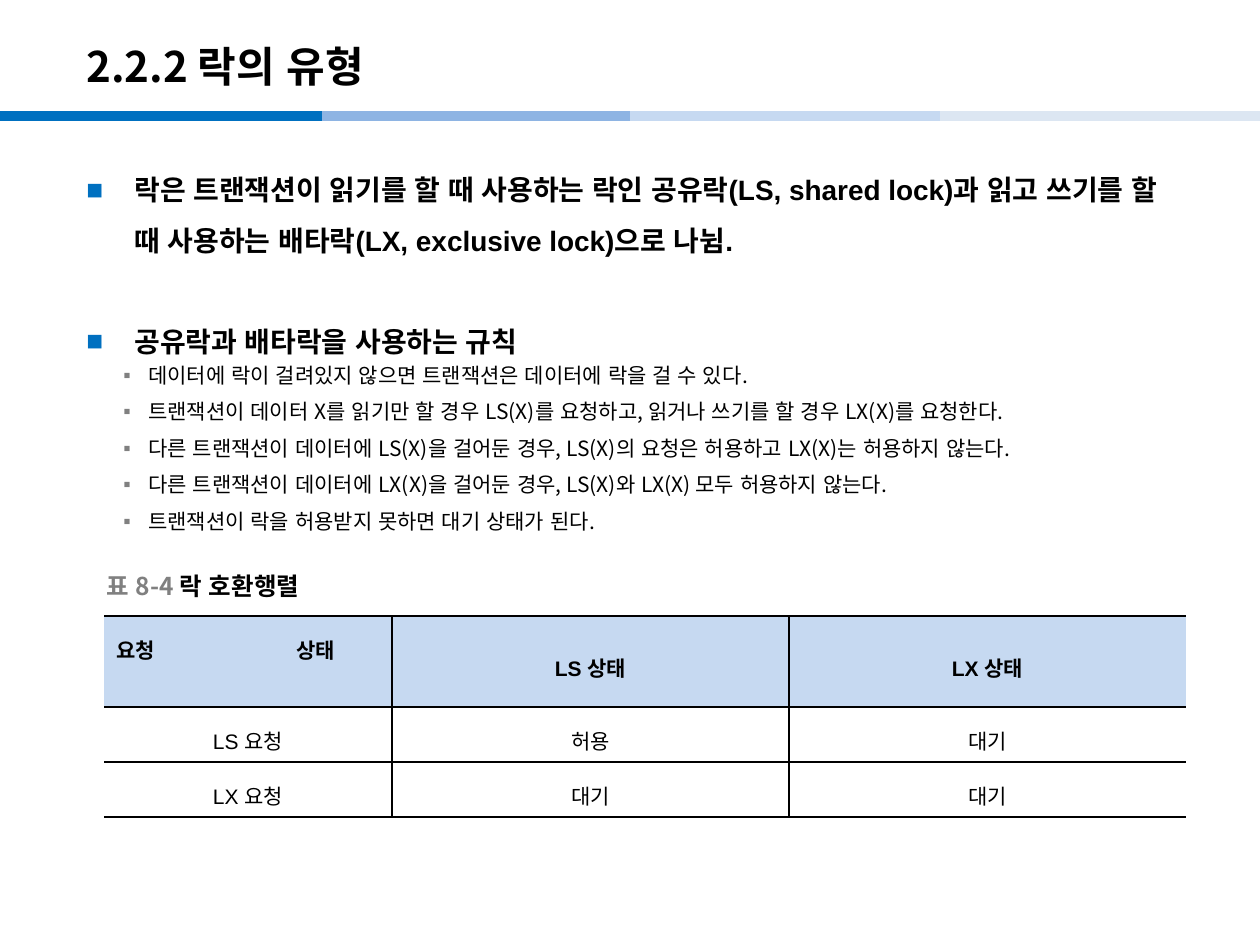
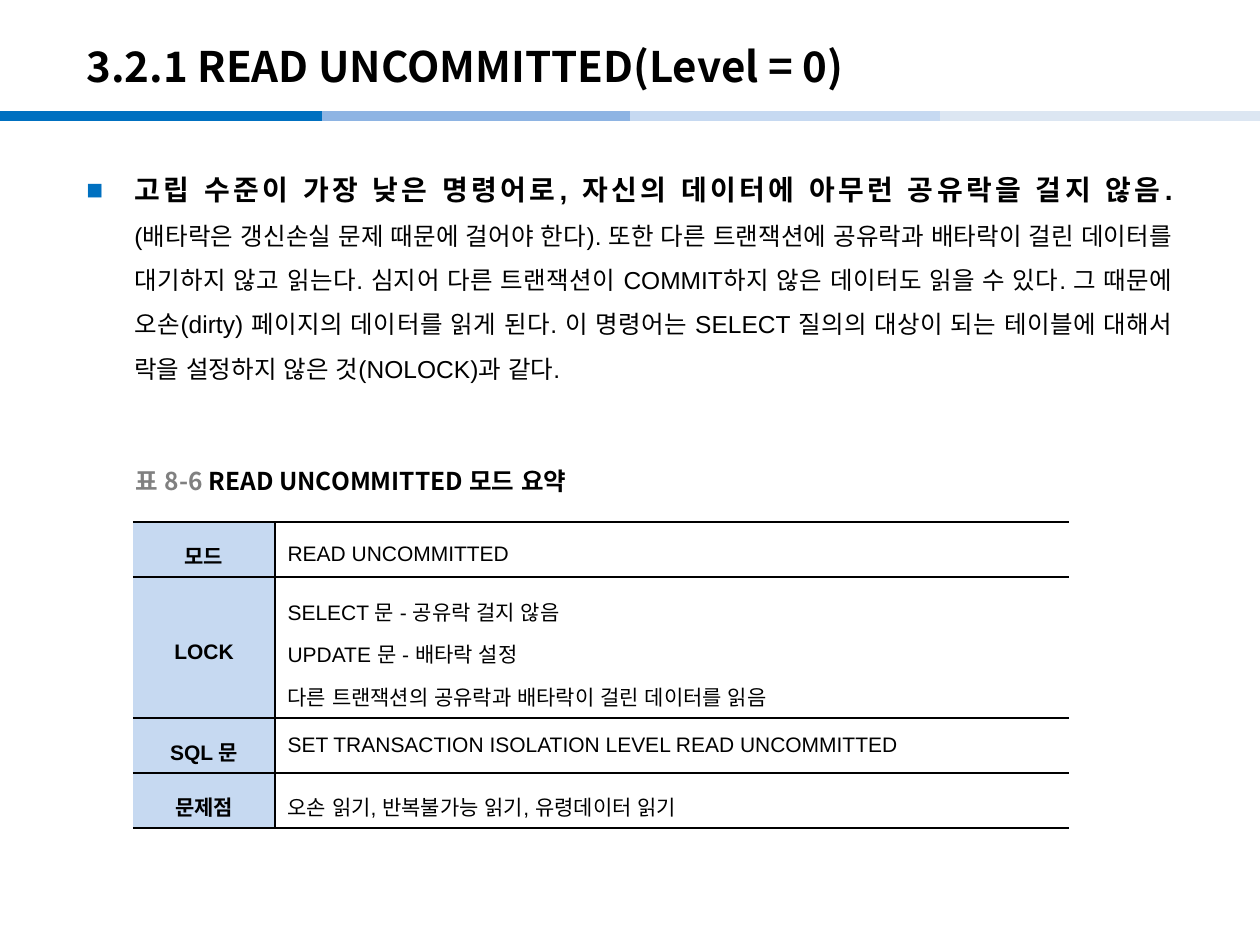
from dataclasses import dataclass

from lxml import etree
from pptx import Presentation
from pptx.dml.color import RGBColor
from pptx.enum import lang, shapes, text
from pptx.oxml import ns
from pptx.util import Pt

CENTER, LEFT, JUSTIFY = text.PP_ALIGN.CENTER, text.PP_ALIGN.LEFT, text.PP_ALIGN.JUSTIFY
MIDDLE, TOP = text.MSO_ANCHOR.MIDDLE, text.MSO_ANCHOR.TOP


@dataclass(frozen=True)
class Theme:
    ink: str = "000000"
    muted: str = "808080"
    accent: str = "0070C0"
    header: str = "C6D9F1"
    paper: str = "FFFFFF"
    bands: tuple = ("0070C0", "8EB4E3", "C6D9F1", "DCE6F2")
    heading_font: str = "Noto Sans CJK KR"
    body_font: str = "Arial"
    title_size: int = 24
    point_size: int = 16
    detail_size: int = 14
    small_size: int = 12
    band_width: int = 6
    rule_width: int = 1
    body_spacing: float = 1.5
    table_spacing: float = 1.4


THEME = Theme()
EMU_PER_PX = 914400 / 126
SLIDE_SIZE = (1260, 945)
TITLE_BOX = (74, 28, 1042, 76)
BODY_BOX = (74, 150, 1111, 753)
BAND_Y = 116
BAND_EDGES = (0, 322, 630, 940, 1260)
CAPTION_SIZE = (600, 39)
HEADER_TAB = 180

SLIDES = [
    {
        "title": "2.2.2 락의 유형",
        "points": [
            {"head": "락은 트랜잭션이 읽기를 할 때 사용하는 락인 공유락(LS, shared lock)과 "
                     "읽고 쓰기를 할 때 사용하는 배타락(LX, exclusive lock)으로 나뉨."},
            {"head": "공유락과 배타락을 사용하는 규칙",
             "before": 29,
             "rules": [
                 "데이터에 락이 걸려있지 않으면 트랜잭션은 데이터에 락을 걸 수 있다.",
                 "트랜잭션이 데이터 X를 읽기만 할 경우 LS(X)를 요청하고, 읽거나 쓰기를 할 경우 LX(X)를 요청한다.",
                 "다른 트랜잭션이 데이터에 LS(X)을 걸어둔 경우, LS(X)의 요청은 허용하고 LX(X)는 허용하지 않는다.",
                 "다른 트랜잭션이 데이터에 LX(X)을 걸어둔 경우, LS(X)와 LX(X) 모두 허용하지 않는다.",
                 "트랜잭션이 락을 허용받지 못하면 대기 상태가 된다.",
             ]},
        ],
        "caption": ("표 8-4 ", "락 호환행렬"),
        "caption_at": (94, 566),
        "table": {
            "at": (104, 616),
            "columns": (288, 397, 397),
            "heights": (91, 55, 55),
            "header": "row",
            "top_cells": [(0, 0)],
            "rows": [
                ("요청\t상태", "LS 상태", "LX 상태"),
                ("LS 요청", "허용", "대기"),
                ("LX 요청", "대기", "대기"),
            ],
        },
    },
    {
        "title": "3.2.1 READ UNCOMMITTED(Level = 0)",
        "points": [
            {"head": "고립 수준이 가장 낮은 명령어로, 자신의 데이터에 아무런 공유락을 걸지 않음.",
             "detail": "(배타락은 갱신손실 문제 때문에 걸어야 한다). 또한 다른 트랜잭션에 공유락과 "
                       "배타락이 걸린 데이터를 대기하지 않고 읽는다. 심지어 다른 트랜잭션이 "
                       "COMMIT하지 않은 데이터도 읽을 수 있다. 그 때문에 오손(dirty) 페이지의 "
                       "데이터를 읽게 된다. 이 명령어는 SELECT 질의의 대상이 되는 테이블에 대해서 "
                       "락을 설정하지 않은 것(NOLOCK)과 같다."},
        ],
        "caption": ("표 8-6 ", "READ UNCOMMITTED 모드 요약"),
        "caption_at": (123, 461),
        "table": {
            "at": (133, 522),
            "columns": (142, 794),
            "heights": (55, 141, 55, 55),
            "header": "column",
            "top_cells": [(2, 1)],
            "rows": [
                ("모드", "READ UNCOMMITTED"),
                ("LOCK", "SELECT 문 - 공유락 걸지 않음\nUPDATE 문 - 배타락 설정\n"
                         "다른 트랜잭션의 공유락과 배타락이 걸린 데이터를 읽음"),
                ("SQL 문", "SET TRANSACTION ISOLATION LEVEL READ UNCOMMITTED"),
                ("문제점", "오손 읽기, 반복불가능 읽기, 유령데이터 읽기"),
            ],
        },
    },
]


def px(length):
    return round(length * EMU_PER_PX)


def add_child(parent, tag, **attributes):
    child = etree.SubElement(parent, ns.qn(tag))
    for name, value in attributes.items():
        child.set(name, str(value))
    return child


def add_run(paragraph, words, size, bold=False, font=THEME.body_font, color=THEME.ink):
    run = paragraph.add_run()
    run.text = words
    run.font.size = Pt(size)
    run.font.bold = bold
    run.font.color.rgb = RGBColor.from_string(color)
    run.font.name = font
    run.font.language_id = lang.MSO_LANGUAGE_ID.KOREAN
    run.font._element.set("kern", "0")
    add_child(run.font._element, "a:ea", typeface=THEME.heading_font)


def add_text_frame(slide, box, anchor):
    frame = slide.shapes.add_textbox(*map(px, box)).text_frame
    frame.word_wrap = True
    frame.vertical_anchor = anchor
    return frame


def next_paragraph(frame):
    first = frame.paragraphs[0]
    return frame.add_paragraph() if first.runs else first


def set_bullet(paragraph, character, color, left, hanging):
    properties = paragraph._p.get_or_add_pPr()
    properties.set("marL", str(px(left)))
    properties.set("indent", str(-px(hanging)))
    add_child(add_child(properties, "a:buClr"), "a:srgbClr", val=color)
    add_child(properties, "a:buFont", typeface=THEME.body_font)
    add_child(properties, "a:buChar", char=character)


def add_bands(slide):
    for start, end, color in zip(BAND_EDGES, BAND_EDGES[1:], THEME.bands):
        band = slide.shapes.add_connector(
            shapes.MSO_CONNECTOR.STRAIGHT, px(start), px(BAND_Y), px(end), px(BAND_Y))
        band.line.color.rgb = RGBColor.from_string(color)
        band.line.width = Pt(THEME.band_width)
        add_child(band._element.spPr, "a:effectLst")


def add_title(slide, title):
    paragraph = add_text_frame(slide, TITLE_BOX, MIDDLE).paragraphs[0]
    add_run(paragraph, title, THEME.title_size, True, THEME.heading_font)


def add_points(slide, points):
    frame = add_text_frame(slide, BODY_BOX, TOP)
    for point in points:
        paragraph = next_paragraph(frame)
        paragraph.line_spacing = THEME.body_spacing
        paragraph.space_before = Pt(point.get("before", 0))
        set_bullet(paragraph, "■", THEME.accent, 48, 48)
        add_run(paragraph, point["head"], THEME.point_size, True)
        if "detail" in point:
            paragraph.alignment = JUSTIFY
            paragraph.add_line_break()
            add_run(paragraph, point["detail"], THEME.detail_size)
        for rule in point.get("rules", ()):
            paragraph = next_paragraph(frame)
            paragraph.space_before = Pt(2.5)
            paragraph.space_after = Pt(4)
            set_bullet(paragraph, "▪", THEME.muted, 62, 25)
            add_run(paragraph, rule, THEME.small_size, font=THEME.heading_font)


def add_caption(slide, caption, position):
    paragraph = add_text_frame(slide, position + CAPTION_SIZE, MIDDLE).paragraphs[0]
    for words, color in zip(caption, (THEME.muted, THEME.ink)):
        add_run(paragraph, words, THEME.detail_size, True, THEME.heading_font, color)


def set_borders(cell, visible):
    properties = cell._tc.get_or_add_tcPr()
    for index, side in enumerate("LRTB"):
        line = etree.Element(ns.qn(f"a:ln{side}"), w=str(Pt(THEME.rule_width)))
        if side in visible:
            add_child(add_child(line, "a:solidFill"), "a:srgbClr", val=THEME.ink)
        else:
            add_child(line, "a:noFill")
        properties.insert(index, line)


def fill_cell(cell, words, is_header, alignment, borders):
    cell.fill.solid()
    cell.fill.fore_color.rgb = RGBColor.from_string(THEME.header if is_header else THEME.paper)
    set_borders(cell, borders)
    has_tab = "\t" in words
    for line in words.split("\n"):
        paragraph = next_paragraph(cell.text_frame)
        paragraph.alignment = LEFT if has_tab else alignment
        paragraph.line_spacing = THEME.table_spacing
        if has_tab:
            tabs = add_child(paragraph._p.get_or_add_pPr(), "a:tabLst")
            add_child(tabs, "a:tab", pos=px(HEADER_TAB), algn="l")
        add_run(paragraph, line, THEME.small_size, is_header)


def add_table(slide, content):
    columns, heights = content["columns"], content["heights"]
    box = content["at"] + (sum(columns), sum(heights))
    table = slide.shapes.add_table(len(heights), len(columns), *map(px, box)).table
    table.first_row = table.horz_banding = False
    for column, width in zip(table.columns, columns):
        column.width = px(width)
    header_in_row = content["header"] == "row"
    for row_index, (row, height) in enumerate(zip(content["rows"], heights)):
        table.rows[row_index].height = px(height)
        for column_index, words in enumerate(row):
            is_header = (row_index if header_in_row else column_index) == 0
            borders = "TB"
            if column_index > 0:
                borders += "L"
            if column_index < len(columns) - 1:
                borders += "R"
            alignment = CENTER if header_in_row or is_header else LEFT
            cell = table.cell(row_index, column_index)
            cell.vertical_anchor = TOP if (row_index, column_index) in content["top_cells"] else MIDDLE
            fill_cell(cell, words, is_header, alignment, borders)


def main():
    presentation = Presentation()
    presentation.slide_width, presentation.slide_height = map(px, SLIDE_SIZE)
    for content in SLIDES:
        slide = presentation.slides.add_slide(presentation.slide_layouts[6])
        add_bands(slide)
        add_title(slide, content["title"])
        add_points(slide, content["points"])
        add_table(slide, content["table"])
        add_caption(slide, content["caption"], content["caption_at"])
    presentation.save("out.pptx")


if __name__ == "__main__":
    main()
